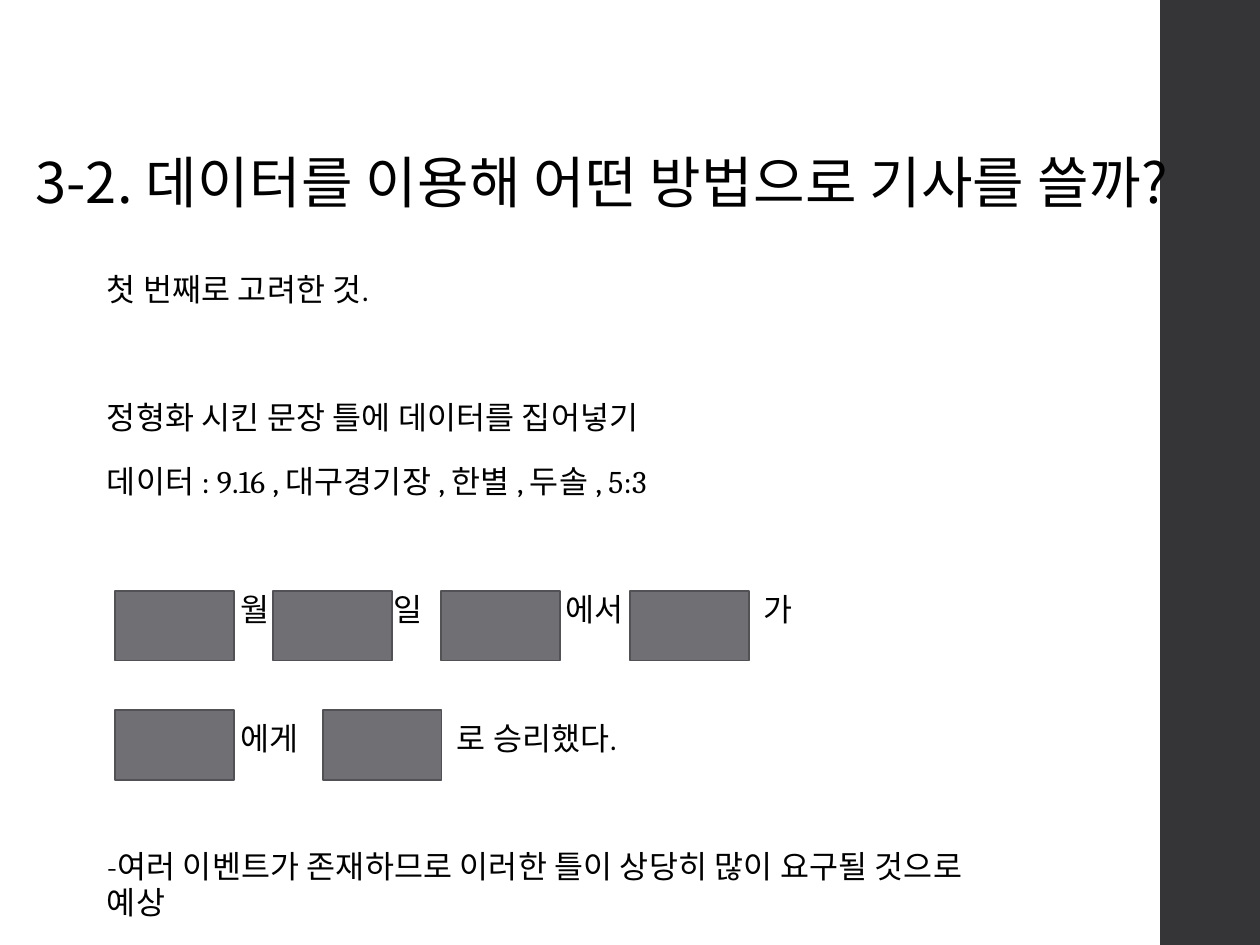
from lxml.etree import SubElement
from pptx import Presentation
from pptx.dml.color import RGBColor as RGB
from pptx.enum.shapes import MSO_SHAPE as Preset
from pptx.oxml.ns import qn
from pptx.util import Pt

THEME = {
    "side_band": RGB.from_string("353537"),
    "blank": RGB.from_string("6F6F74"),
    "blank_line": RGB.from_string("525256"),
    "text": RGB.from_string("000000"),
    "korean_font": "Noto Sans CJK KR",
    "body_font": "Cambria",
    "title_size": 32,
    "body_size": 18,
    "line_pitch": 1.145,  # line height as a multiple of the type size
}

# Content
TITLE = "3-2. 데이터를 이용해 어떤 방법으로 기사를 쓸까?"
# Each line: text, whether a wide gap precedes it, tab stops
BODY = [
    ("첫 번째로 고려한 것.", False, ()),
    ("정형화 시킨 문장 틀에 데이터를 집어넣기", True, ()),
    ("데이터 : 9.16 , 대구경기장 , 한별 , 두솔 , 5:3", False, ()),
    ("\t월\t일\t에서\t가", True, (76.5, 164, 262, 375)),
    ("\t에게\t로 승리했다.", True, (76.5, 200)),
    ("-여러 이벤트가 존재하므로 이러한 틀이 상당히 많이 요구될 것으로 예상", True, ()),
]
# Blanks of the sentence template: row top, left edges
BLANK_ROWS = [(337.7, (65.5, 156.2, 252, 360)), (406, (65.5, 184.3))]
BLANK_WIDTH, BLANK_HEIGHT = 68, 39.8
SPACE_BEFORE, SPACE_AFTER = 14, 2


def add_rectangle(slide, left, top, width, height, fill, line=None):
    shape = slide.shapes.add_shape(Preset.RECTANGLE, Pt(left), Pt(top), Pt(width), Pt(height))
    shape.shadow.inherit = False
    shape.fill.solid()
    shape.fill.fore_color.rgb = fill
    if line is None:
        shape.line.fill.background()
    else:
        shape.line.color.rgb = line
        shape.line.width = Pt(1.1)


def add_text(slide, left, top, width, height, lines, font_name, size):
    frame = slide.shapes.add_textbox(Pt(left), Pt(top), Pt(width), Pt(height)).text_frame
    frame.word_wrap = True
    pitch = size * THEME["line_pitch"]
    for index, (text, wide_gap, stops) in enumerate(lines):
        paragraph = frame.add_paragraph() if index else frame.paragraphs[0]
        paragraph.text = text
        paragraph.line_spacing = Pt(pitch)
        empty_line = pitch + SPACE_BEFORE + SPACE_AFTER if wide_gap else 0
        paragraph.space_before = Pt(SPACE_BEFORE + empty_line if index else 0)
        paragraph.space_after = Pt(SPACE_AFTER)
        if stops:
            tab_list = SubElement(paragraph._p.get_or_add_pPr(), qn("a:tabLst"))
            for stop in stops:
                SubElement(tab_list, qn("a:tab"), pos=str(Pt(stop)), algn="l")
        font = paragraph.font
        font.name, font.size = font_name, Pt(size)
        font.color.rgb = THEME["text"]
        # Letter spacing and the East Asian typeface
        font._element.set("spc", "10")
        SubElement(font._element, qn("a:ea"), typeface=THEME["korean_font"])


def main():
    presentation = Presentation()
    presentation.slide_width, presentation.slide_height = Pt(720), Pt(540)
    slide = presentation.slides.add_slide(presentation.slide_layouts[6])

    # Side band
    add_rectangle(slide, 663, 0, 57, 540, THEME["side_band"])

    # Body and title
    add_text(slide, 54, 151.8, 507.6, 380, BODY, THEME["body_font"], THEME["body_size"])
    add_text(slide, 13, 82.5, 648, 93, [(TITLE, False, ())],
             THEME["korean_font"], THEME["title_size"])

    # Blanks to fill in
    for top, lefts in BLANK_ROWS:
        for left in lefts:
            add_rectangle(slide, left, top, BLANK_WIDTH, BLANK_HEIGHT,
                          THEME["blank"], THEME["blank_line"])

    presentation.save("out.pptx")


if __name__ == "__main__":
    main()
